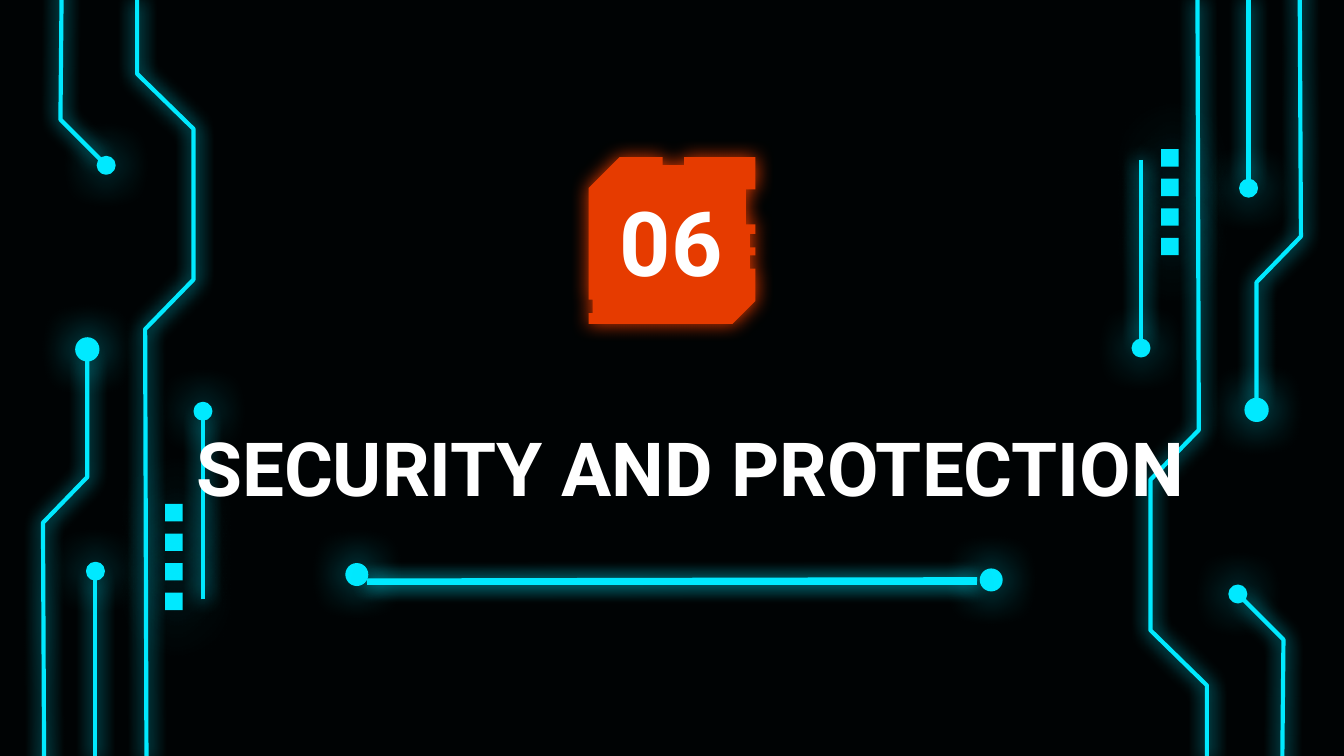
from lxml.etree import SubElement
from pptx import Presentation
from pptx.dml.color import RGBColor
from pptx.enum.shapes import MSO_CONNECTOR as CONNECTOR, MSO_SHAPE as SHAPE
from pptx.enum.text import MSO_ANCHOR as ANCHOR, PP_ALIGN as ALIGN
from pptx.oxml.ns import qn
from pptx.util import Inches, Pt

WIDTH = 10
HEIGHT = WIDTH * 9 / 16
MIRROR_HEIGHT = 5.65
BACKGROUND, CYAN, ORANGE, WHITE = "000304", "00E9FF", "E63B00", "FFFFFF"

TRACES = [
    [(1.09, 5.66), (1.08, 2.45), (1.44, 2.08), (1.44, 0.96), (1.02, 0.55), (1.02, 0)],
    [(0.71, 5.66), (0.71, 4.29)],
    [(0.46, -0.17), (0.45, 0.89), (0.75, 1.19)],
    [(0.33, 5.96), (0.32, 3.89), (0.65, 3.55), (0.65, 2.66)],
    [(1.51, 4.46), (1.51, 3.1)],
]
NODES = [(0.57, 2.52, 0.16), (0.73, 1.17, 0.12), (1.45, 3, 0.12), (0.65, 4.19, 0.12)]
PAD_SIZE = 0.13
PADS = [(1.23, 3.75 + 0.22 * row, PAD_SIZE) for row in range(4)]
BADGE = [
    (4.61, 1.17), (4.38, 1.4), (4.38, 2.23), (4.41, 2.23), (4.41, 2.33), (4.38, 2.33),
    (4.38, 2.41), (5.45, 2.41), (5.62, 2.24), (5.62, 2), (5.58, 2), (5.58, 1.9),
    (5.62, 1.9), (5.62, 1.84), (5.58, 1.84), (5.58, 1.74), (5.62, 1.74), (5.62, 1.67),
    (5.55, 1.67), (5.55, 1.41), (5.62, 1.41), (5.62, 1.17), (5.09, 1.17), (5.09, 1.23),
    (4.93, 1.23), (4.93, 1.17),
]


def color(value):
    """Turn a hex string into a colour."""
    return RGBColor.from_string(value)


def half_turn(x, y, size=0):
    """Turn a point, or the corner of a square, half round the slide centre."""
    return WIDTH - x - size, MIRROR_HEIGHT - y - size


class CircuitSlide:
    """Draws glowing circuit parts and titles on one slide."""

    text_format = {"name": "Roboto", "bold": True}
    frame_format = {"word_wrap": True, "vertical_anchor": ANCHOR.MIDDLE,
                    **{f"margin_{side}": Inches(0.1)
                       for side in ("left", "top", "right", "bottom")}}

    def __init__(self, slide):
        """Keep the slide and paint its background."""
        self.slide = slide
        self.shapes = slide.shapes
        fill = slide.background.fill
        fill.solid()
        fill.fore_color.rgb = color(BACKGROUND)

    def paint(self, shape, fill=None, line=None, weight=0):
        """Set the fill and line of a shape."""
        for part, value in ((shape.fill, fill), (shape.line.fill, line)):
            if value:
                part.solid()
                part.fore_color.rgb = color(value)
            else:
                part.background()
        if line:
            shape.line.width = Pt(weight)

    def glow(self, shape, value, blur, distance=0, alpha=100):
        """Give a shape a soft coloured halo."""
        effects = SubElement(shape._element.spPr, qn("a:effectLst"))
        shadow = SubElement(effects, qn("a:outerShdw"), blurRad=str(Pt(blur)),
                            dist=str(Pt(distance)), dir="0", algn="ctr", rotWithShape="0")
        tint = SubElement(shadow, qn("a:srgbClr"), val=value)
        SubElement(tint, qn("a:alpha"), val=str(alpha * 1000))

    def outline(self, points, closed=False):
        """Build a freeform through the points."""
        start, *rest = [(Inches(x), Inches(y)) for x, y in points]
        builder = self.shapes.build_freeform(*start)
        builder.add_line_segments(rest, close=closed)
        return builder.convert_to_shape()

    def trace(self, points):
        """Draw an open circuit trace."""
        shape = self.outline(points)
        self.paint(shape, line=CYAN, weight=2.25)
        self.glow(shape, CYAN, 10.1)

    def badge(self, points):
        """Draw the notched number plate."""
        shape = self.outline(points, closed=True)
        self.paint(shape, fill=ORANGE)
        self.glow(shape, ORANGE, 10.1)

    def node(self, x, y, size):
        """Draw a round terminal."""
        shape = self.shapes.add_shape(SHAPE.OVAL, *map(Inches, (x, y, size, size)))
        self.paint(shape, fill=CYAN, line=CYAN, weight=1.5)
        self.glow(shape, CYAN, 22.5)

    def pad(self, x, y, size):
        """Draw a square contact."""
        shape = self.shapes.add_shape(SHAPE.RECTANGLE, *map(Inches, (x, y, size, size)))
        self.paint(shape, fill=CYAN)
        self.glow(shape, CYAN, 36, distance=1.5, alpha=70)

    def line(self, *ends):
        """Draw a straight glowing line."""
        connector = self.shapes.add_connector(CONNECTOR.STRAIGHT, *map(Inches, ends))
        connector.line.color.rgb = color(CYAN)
        connector.line.width = Pt(2.25)
        self.glow(connector, CYAN, 10.1)

    def title(self, text, size, *box):
        """Write a centred bold title."""
        frame = self.shapes.add_textbox(*map(Inches, box)).text_frame
        for name, value in self.frame_format.items():
            setattr(frame, name, value)
        paragraph = frame.paragraphs[0]
        paragraph.alignment = ALIGN.CENTER
        run = paragraph.add_run()
        run.text = text
        for name, value in {**self.text_format, "size": Pt(size)}.items():
            setattr(run.font, name, value)
        run.font.color.rgb = color(WHITE)


def main():
    """Build and save the section slide."""
    presentation = Presentation()
    presentation.slide_width, presentation.slide_height = Inches(WIDTH), Inches(HEIGHT)
    circuit = CircuitSlide(presentation.slides.add_slide(presentation.slide_layouts[6]))

    for turned in (False, True):
        for points in TRACES:
            circuit.trace([half_turn(*point) for point in points] if turned else points)
        for draw, squares in ((circuit.node, NODES), (circuit.pad, PADS)):
            for x, y, size in squares:
                draw(*(half_turn(x, y, size) if turned else (x, y)), size)

    circuit.badge(BADGE)
    circuit.title("SECURITY AND PROTECTION", 40, 0.77, 2.93, 8.73, 1.09)
    circuit.title("06", 48, 2.41, 1.34, 5.17, 0.9)
    circuit.line(2.73, 4.32, 7.27, 4.31)
    circuit.node(2.58, 4.2, 0.15)
    circuit.node(7.3, 4.24, 0.15)
    circuit.line(2.73, 4.34, 7.27, 4.34)
    presentation.save("out.pptx")


if __name__ == "__main__":
    main()
